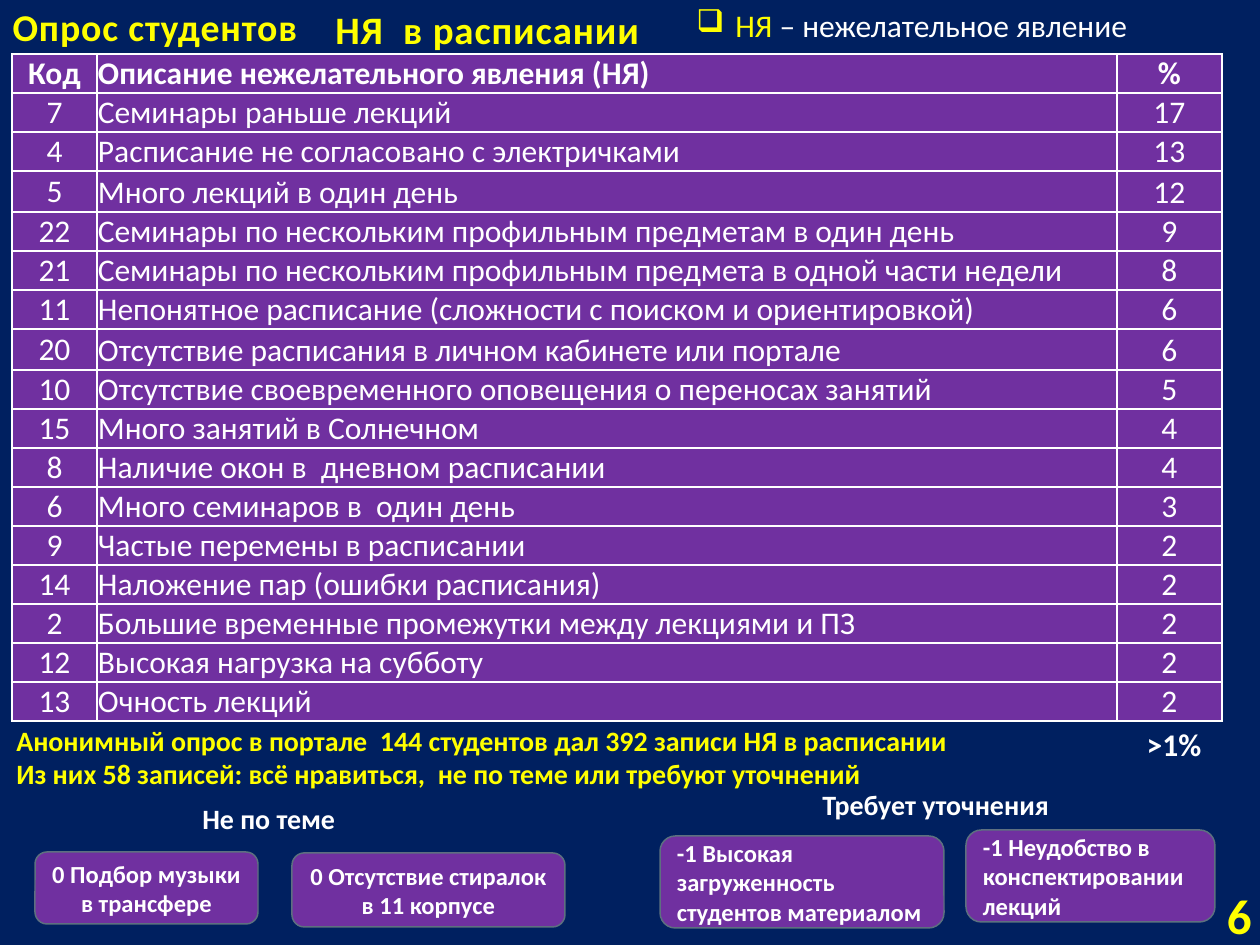
from lxml.etree import SubElement
from pptx import Presentation
from pptx.dml.color import RGBColor
from pptx.enum.shapes import MSO_SHAPE
from pptx.enum.text import MSO_ANCHOR, PP_ALIGN
from pptx.oxml.ns import qn
from pptx.util import Pt

PIXEL = 914400 // 126
FONT = "Calibri"
COLORS = {"background": "002060", "purple": "7030A0", "outline": "5D7080",
          "yellow": "FFFF00", "white": "FFFFFF"}
TABLE_ROWS = [
    ("Код", "Описание нежелательного явления (НЯ)", "%"),
    (7, "Семинары раньше лекций", 17),
    (4, "Расписание не согласовано с электричками", 13),
    (5, "Много лекций в один день", 12),
    (22, "Семинары по нескольким профильным предметам в один день", 9),
    (21, "Семинары по нескольким профильным предмета в одной части недели", 8),
    (11, "Непонятное расписание (сложности с поиском и ориентировкой)", 6),
    (20, "Отсутствие расписания в личном кабинете или портале", 6),
    (10, "Отсутствие своевременного оповещения о переносах занятий", 5),
    (15, "Много занятий в Солнечном", 4),
    (8, "Наличие окон в  дневном расписании", 4),
    (6, "Много семинаров в  один день", 3),
    (9, "Частые перемены в расписании", 2),
    (14, "Наложение пар (ошибки расписания)", 2),
    (2, "Большие временные промежутки между лекциями и ПЗ", 2),
    (12, "Высокая нагрузка на субботу", 2),
    (13, "Очность лекций", 2),
]
COLUMN_WIDTHS = (85, 1020, 105)
ROW_HEIGHT, TALL_ROW_HEIGHT, TALL_ROWS = 39, 41, (3, 7)
NOTES = [
    ((292, 853, 273, 74), "0 Отсутствие стиралок в 11 корпусе", PP_ALIGN.CENTER),
    ((35, 852, 223, 72), "0 Подбор музыки в трансфере", PP_ALIGN.CENTER),
    ((660, 836, 284, 92), "-1 Высокая загруженность студентов материалом", PP_ALIGN.LEFT),
    ((966, 830, 249, 92), "-1 Неудобство в конспектировании лекций", PP_ALIGN.LEFT),
]
LABELS = [
    ((190, 795, 181, 47), "Не по теме", 16, "white", PP_ALIGN.LEFT),
    ((4, 717, 1013, 81), "Анонимный опрос в портале  144 студентов дал 392 записи НЯ в расписании\n"
     "Из них 58 записей: всё нравиться,  не по теме или требуют уточнений",
     16, "yellow", PP_ALIGN.LEFT),
    ((810, 781, 267, 47), "Требует уточнения", 16, "white", PP_ALIGN.LEFT),
    ((1133, 719, 82, 50), ">1%", 18, "white", PP_ALIGN.CENTER),
]


def emu(bounds):
    """Turn pixel lengths into EMU."""
    return [length * PIXEL for length in bounds]


def rgb(name):
    """Look up a named colour."""
    return RGBColor.from_string(COLORS[name])


def format_text(frame, size, color, align=PP_ALIGN.LEFT, bold=True, spacing=0):
    """Give every paragraph of a frame the same font and alignment."""
    for para in frame.paragraphs:
        para.alignment = align
        para.font.name = FONT
        para.font.size = Pt(size)
        para.font.bold = bold
        para.font.color.rgb = rgb(color)
        if spacing:
            para.font._element.set("spc", str(spacing))


def add_label(slide, bounds, text, size, color, align=PP_ALIGN.LEFT,
              anchor=MSO_ANCHOR.TOP, wrap=True, bold=True, spacing=0):
    """Add a text box and return its frame."""
    frame = slide.shapes.add_textbox(*emu(bounds)).text_frame
    frame.text = text
    frame.word_wrap = wrap
    frame.vertical_anchor = anchor
    format_text(frame, size, color, align, bold, spacing)
    return frame


def add_note(slide, bounds, text, align):
    """Add a rounded purple box with bold text."""
    box = slide.shapes.add_shape(MSO_SHAPE.ROUNDED_RECTANGLE, *emu(bounds))
    box.shadow.inherit = False
    box.fill.solid()
    box.fill.fore_color.rgb = rgb("purple")
    box.line.color.rgb = rgb("outline")
    box.line.width = Pt(0.85)
    frame = box.text_frame
    frame.text = text
    frame.word_wrap = True
    frame.vertical_anchor = MSO_ANCHOR.MIDDLE
    format_text(frame, 14, "white", align)


def add_borders(cell):
    """Draw a thin white line on all four sides of a cell."""
    properties = cell._tc.get_or_add_tcPr()
    for side in ("a:lnL", "a:lnR", "a:lnT", "a:lnB"):
        line = SubElement(properties, qn(side), w=str(Pt(1)))
        fill = SubElement(line, qn("a:solidFill"))
        SubElement(fill, qn("a:srgbClr"), val=COLORS["white"])


def fill_cell(cell, text, align, anchor, bold):
    """Write and format one table cell."""
    add_borders(cell)
    cell.fill.solid()
    cell.fill.fore_color.rgb = rgb("purple")
    cell.margin_left = cell.margin_right = PIXEL
    cell.margin_top = cell.margin_bottom = 0
    cell.vertical_anchor = anchor
    cell.text = str(text)
    format_text(cell.text_frame, 18, "white", align, bold)


def add_survey_table(slide):
    """Add the table of survey answers."""
    heights = [TALL_ROW_HEIGHT if index in TALL_ROWS else ROW_HEIGHT
               for index in range(len(TABLE_ROWS))]
    bounds = emu((12, 54, sum(COLUMN_WIDTHS), sum(heights)))
    table = slide.shapes.add_table(len(heights), len(COLUMN_WIDTHS), *bounds).table
    table.first_row = table.horz_banding = False
    for column, width in zip(table.columns, COLUMN_WIDTHS):
        column.width = width * PIXEL
    for row_index, values in enumerate(TABLE_ROWS):
        table.rows[row_index].height = heights[row_index] * PIXEL
        for column_index, value in enumerate(values):
            align = PP_ALIGN.LEFT if column_index == 1 else PP_ALIGN.CENTER
            anchor = MSO_ANCHOR.BOTTOM if column_index else MSO_ANCHOR.MIDDLE
            fill_cell(table.cell(row_index, column_index), value, align, anchor, row_index == 0)


def set_title(slide):
    """Place and format the title placeholder."""
    title = slide.shapes.title
    title.left, title.top, title.width, title.height = emu((0, 4, 343, 44))
    frame = title.text_frame
    frame.text = "Опрос студентов"
    frame.word_wrap = False
    frame.vertical_anchor = MSO_ANCHOR.MIDDLE
    format_text(frame, 21.6, "yellow", spacing=50)


def add_legend(slide):
    """Add the bulleted explanation of the abbreviation."""
    frame = add_label(slide, (684, 0, 486, 50), "НЯ", 18, "yellow", bold=False)
    para = frame.paragraphs[0]
    span = para.add_run()
    span.text = " – нежелательное явление"
    span.font.color.rgb = rgb("white")
    properties = para._p.get_or_add_pPr()
    properties.set("marL", str(39 * PIXEL))
    properties.set("indent", str(-39 * PIXEL))
    bullet = properties.makeelement(qn("a:buChar"), {"char": "❑"})
    properties.insert(0, bullet)


def main():
    """Build the survey slide and save the deck."""
    deck = Presentation()
    deck.slide_width, deck.slide_height = emu((1260, 945))
    slide = deck.slides.add_slide(deck.slide_layouts[5])
    slide.background.fill.solid()
    slide.background.fill.fore_color.rgb = rgb("background")
    set_title(slide)
    for note in NOTES:
        add_note(slide, *note)
    for label in LABELS:
        add_label(slide, *label)
    add_label(slide, (1144, 890, 120, 50), "6", 28, "yellow", PP_ALIGN.RIGHT, MSO_ANCHOR.MIDDLE)
    add_survey_table(slide)
    add_label(slide, (323, 0, 354, 57), "НЯ  в расписании", 22.2, "yellow",
              anchor=MSO_ANCHOR.MIDDLE, wrap=False, spacing=50)
    add_legend(slide)
    deck.save("out.pptx")


if __name__ == "__main__":
    main()
